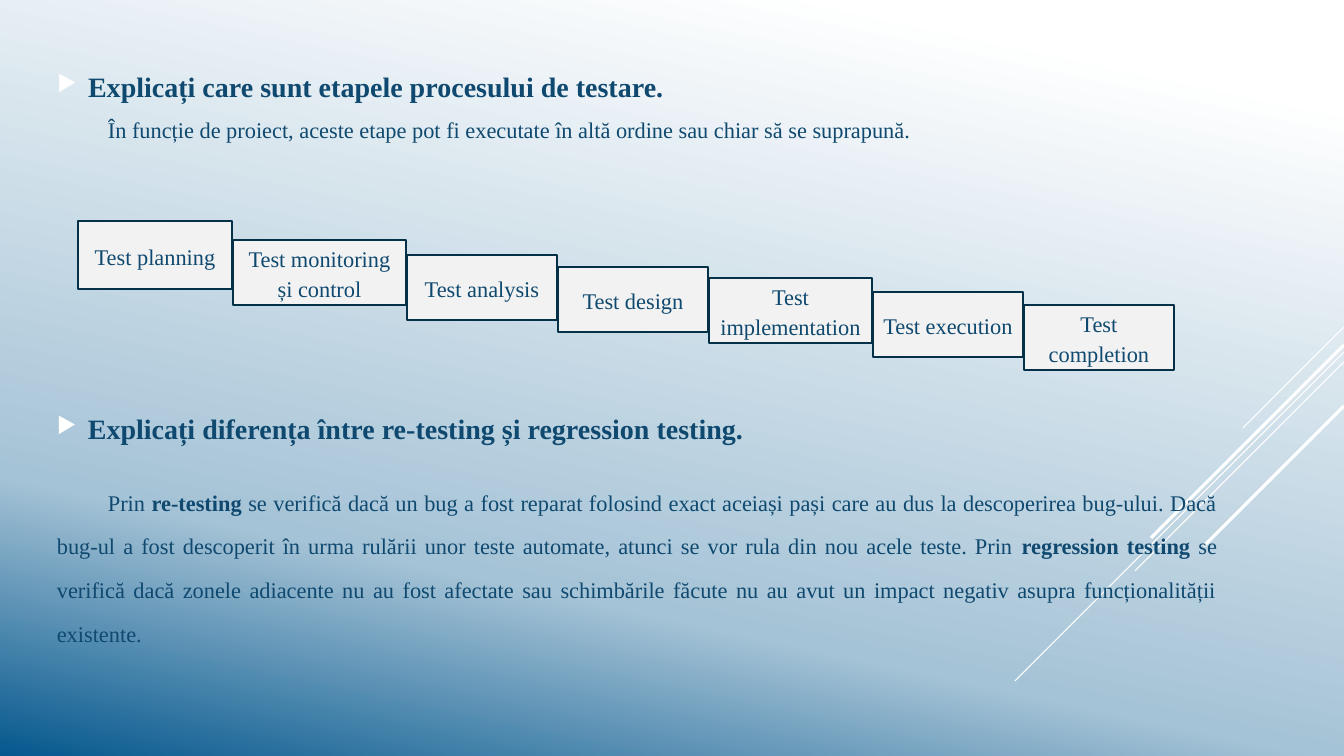
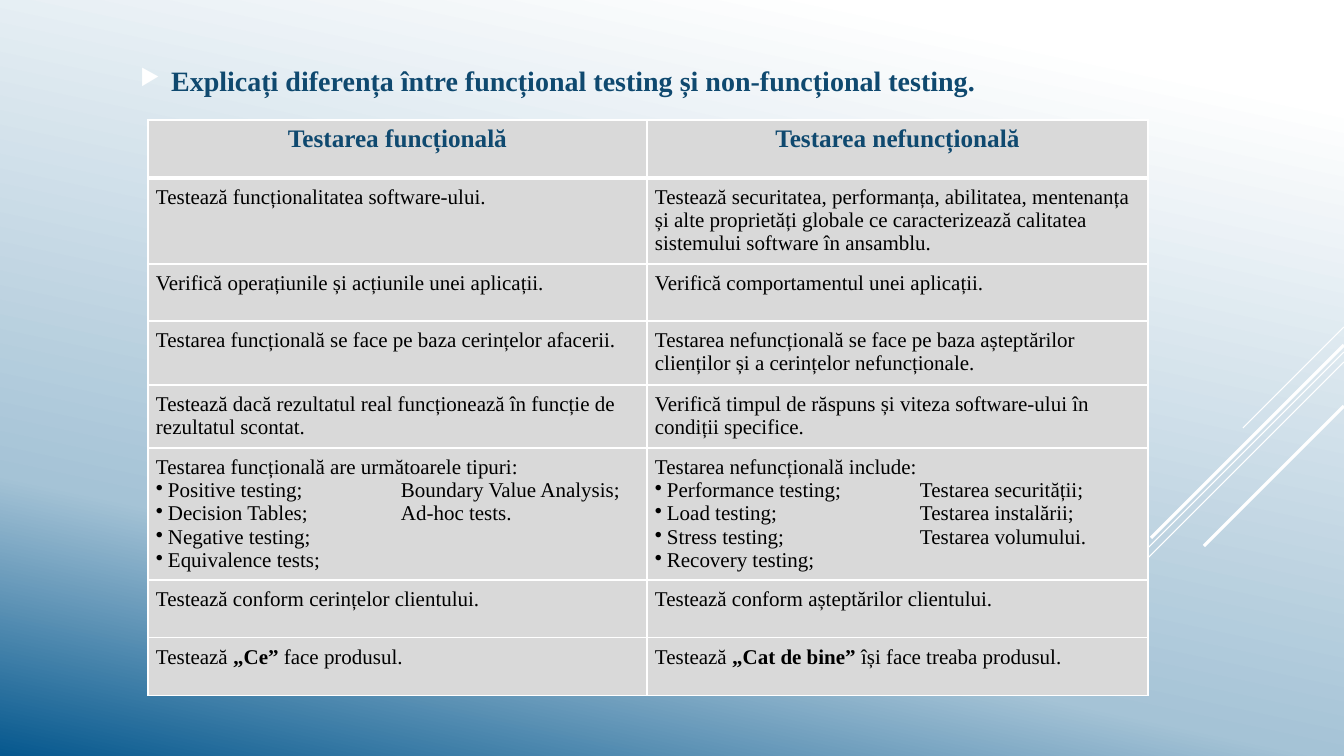
from copy import deepcopy

from lxml.etree import SubElement
from pptx import Presentation
from pptx.dml.color import RGBColor
from pptx.enum.shapes import MSO_CONNECTOR, MSO_SHAPE
from pptx.enum.text import MSO_ANCHOR as ANCHOR, MSO_AUTO_SIZE, PP_ALIGN as ALIGN
from pptx.oxml.ns import qn
from pptx.util import Emu, Pt

FONT = "Times New Roman"
NAVY, BORDER, WHITE, BLACK = "0F496F", "043148", "FFFFFF", "000000"
BOX_FILL, CELL_FILL = "F2F2F2", "D9D9D9"
WIDTH, HEIGHT = 1344, 756
rgb = RGBColor.from_string


def px(*lengths):
    """Turn px lengths into EMU, at 100.8 px to the inch."""
    return [Emu(round(length * 914400 / 100.8)) for length in lengths]


def write_text(frame, *texts, size=16, color=NAVY, bold=False, align=ALIGN.LEFT,
               anchor=ANCHOR.MIDDLE, spacing=1.0, left=0, first=0,
               bullet=None, bullet_color=None, tab=None):
    """Write one paragraph per text; a * switches bold on or off."""
    frame.word_wrap = True
    frame.auto_size = MSO_AUTO_SIZE.NONE
    frame.vertical_anchor = anchor
    for number, text in enumerate(texts):
        para = frame.paragraphs[0] if number == 0 else frame.add_paragraph()
        para.alignment = align
        para.line_spacing = spacing
        para.space_before = para.space_after = Pt(0)
        props = para._p.get_or_add_pPr()
        margin, indent = px(left, first)
        # A lead-in line ending in a colon carries no bullet
        if bullet and not text.endswith(":"):
            props.set("marL", str(margin))
            props.set("indent", str(-margin))
            if bullet_color:
                fill = SubElement(props, qn("a:buClr"))
                SubElement(fill, qn("a:srgbClr"), val=bullet_color)
                SubElement(props, qn("a:buSzPct"), val="80000")
            SubElement(props, qn("a:buChar"), char=bullet)
        else:
            props.set("marL", "0")
            props.set("indent", str(indent))
            SubElement(props, qn("a:buNone"))
        if tab:
            stops = SubElement(props, qn("a:tabLst"))
            SubElement(stops, qn("a:tab"), pos=str(px(tab)[0]), algn="l")
        for index, piece in enumerate(text.split("*")):
            if piece:
                span = para.add_run()
                span.text = piece
                span.font.name = FONT
                span.font.size = Pt(size)
                span.font.bold = bold or index % 2 == 1
                span.font.color.rgb = rgb(color)


HEADING = dict(size=20, bold=True, left=31, bullet="▶", bullet_color=WHITE)

deck = Presentation()
deck.slide_width, deck.slide_height = px(WIDTH, HEIGHT)
layout = deck.slide_layouts[5]

# Shared gradient background
background = deck.slide_master.background.fill
background.gradient()
background.gradient_angle = 258
stop_list = deck.slide_master.element.find(".//" + qn("a:gsLst"))
stop_list.append(deepcopy(stop_list[0]))
gradient = [(0.1, WHITE), (0.73, "A5C3D6"), (1, "06588E")]
for stop, (position, color) in zip(background.gradient_stops, gradient):
    stop.position = position
    stop.color.rgb = rgb(color)

# Slides with their titles
titles = [
    ("Explicați care sunt etapele procesului de testare.", (47, 64, 1180, 44)),
    ("Explicați diferența între funcțional testing și non-funcțional testing.",
     (130, 58, 903, 44)),
]
for text, place in titles:
    title = deck.slides.add_slide(layout).shapes.title
    title.left, title.top, title.width, title.height = px(*place)
    write_text(title.text_frame, text, **HEADING)
stages_slide, comparison_slide = deck.slides

# Diagonal lines at the right edge, kept on the layout: top, length, weight
diagonals = [(327, 101, 0.75), (352, 329, 0.75), (362, 209, 0.75),
             (345, 193, 2.25), (406, 140, 2.25)]
for number, (top, length, weight) in enumerate(diagonals):
    line = stages_slide.shapes.add_connector(
        MSO_CONNECTOR.STRAIGHT, *px(WIDTH, top, WIDTH - length, top + length))
    line.line.color.rgb = rgb(WHITE)
    line.line.width = Pt(weight)
    SubElement(line.element.spPr, qn("a:effectLst"))
    line.element.nvCxnSpPr.cNvPr.set("id", str(20 + number))
    layout.shapes.element.append(line.element)

# Text of the stages slide
passages = [
    ((47, 112, 1180, 35),
     "În funcție de proiect, aceste etape pot fi executate în altă ordine sau "
     "chiar să se suprapună.", dict(first=51)),
    ((47, 406, 1180, 44),
     "Explicați diferența între re-testing și regression testing.", HEADING),
    ((47, 467, 1180, 160),
     "Prin *re-testing* se verifică dacă un bug a fost reparat folosind exact "
     "aceiași pași care au dus la descoperirea bug-ului. Dacă bug-ul a fost "
     "descoperit în urma rulării unor teste automate, atunci se vor rula din nou "
     "acele teste. Prin *regression testing* se verifică dacă zonele adiacente nu "
     "au fost afectate sau schimbările făcute nu au avut un impact negativ asupra "
     "funcționalității existente.",
     dict(first=51, align=ALIGN.JUSTIFY, spacing=1.63, anchor=ANCHOR.TOP)),
]
for place, text, style in passages:
    box = stages_slide.shapes.add_textbox(*px(*place))
    write_text(box.text_frame, text, **style)

# Staircase of stages: text, top, width, height
stages = [
    ("Test planning", 221, 154, 68),
    ("Test monitoring și control", 240, 173, 65),
    ("Test analysis", 255, 150, 65),
    ("Test design", 267, 150, 65),
    ("Test implementation", 278, 163, 65),
    ("Test execution", 292, 150, 65),
    ("Test completion", 305, 150, 65),
]
left = 78
for text, top, width, height in stages:
    box = stages_slide.shapes.add_shape(
        MSO_SHAPE.RECTANGLE, *px(left, top, width, height))
    box.shadow.inherit = False
    box.fill.solid()
    box.fill.fore_color.rgb = rgb(BOX_FILL)
    box.line.color.rgb = rgb(BORDER)
    box.line.width = Pt(1.25)
    box.text_frame.margin_left, box.text_frame.margin_right = px(9, 9)
    write_text(box.text_frame, text, align=ALIGN.CENTER, spacing=1.09)
    left += width + 1

# Comparison table: row height, then the paragraphs of both cells
rows = [
    (58, ["Testarea funcțională"], ["Testarea nefuncțională"]),
    (86, ["Testează funcționalitatea software-ului."],
     ["Testează securitatea, performanța, abilitatea, mentenanța și alte "
      "proprietăți globale ce caracterizează calitatea sistemului software în "
      "ansamblu."]),
    (57, ["Verifică operațiunile și acțiunile unei aplicații."],
     ["Verifică comportamentul unei aplicații."]),
    (64, ["Testarea funcțională se face pe baza cerințelor afacerii."],
     ["Testarea nefuncțională se face pe baza așteptărilor clienților și a "
      "cerințelor nefuncționale."]),
    (63, ["Testează dacă rezultatul real funcționează în funcție de rezultatul "
          "scontat."],
     ["Verifică timpul de răspuns și viteza software-ului în condiții specifice."]),
    (132, ["Testarea funcțională are următoarele tipuri:",
           "Positive testing;\tBoundary Value Analysis;",
           "Decision Tables;\tAd-hoc tests.",
           "Negative testing;",
           "Equivalence tests;"],
     ["Testarea nefuncțională include:",
      "Performance testing;\tTestarea securității;",
      "Load testing;\tTestarea instalării;",
      "Stress testing;\tTestarea volumului.",
      "Recovery testing;"]),
    (58, ["Testează conform cerințelor clientului."],
     ["Testează conform așteptărilor clientului."]),
    (58, ["Testează *„Ce”* face produsul."],
     ["Testează *„Cat de bine”* își face treaba produsul."]),
]
column_widths, column_tabs = (499, 501), (245, 265)
table = comparison_slide.shapes.add_table(
    len(rows), 2, *px(148, 120, sum(column_widths), sum(row[0] for row in rows))).table
table.first_row = table.horz_banding = False
for column, width in zip(table.columns, px(*column_widths)):
    column.width = width

for row_index, (height, *cell_texts) in enumerate(rows):
    table.rows[row_index].height = px(height)[0]
    for column_index, texts in enumerate(cell_texts):
        cell = table.cell(row_index, column_index)
        # White borders, heavier under the header
        weights = {"lnL": 1, "lnR": 1, "lnT": 3 if row_index == 1 else 1,
                   "lnB": 3 if row_index == 0 else 1}
        props = cell._tc.get_or_add_tcPr()
        for side, weight in weights.items():
            edge = SubElement(props, qn("a:" + side), w=str(Pt(weight)))
            SubElement(SubElement(edge, qn("a:solidFill")), qn("a:srgbClr"), val=WHITE)
        cell.fill.solid()
        cell.fill.fore_color.rgb = rgb(CELL_FILL)
        if row_index == 0:
            style = dict(size=18, bold=True, align=ALIGN.CENTER)
        else:
            (cell.margin_left, cell.margin_top,
             cell.margin_right, cell.margin_bottom) = px(8, 8, 8, 8)
            style = dict(size=15, color=BLACK)
        if len(texts) > 1:
            style.update(bullet="•", left=12, tab=column_tabs[column_index])
        write_text(cell.text_frame, *texts, anchor=ANCHOR.TOP, **style)

deck.save("out.pptx")
